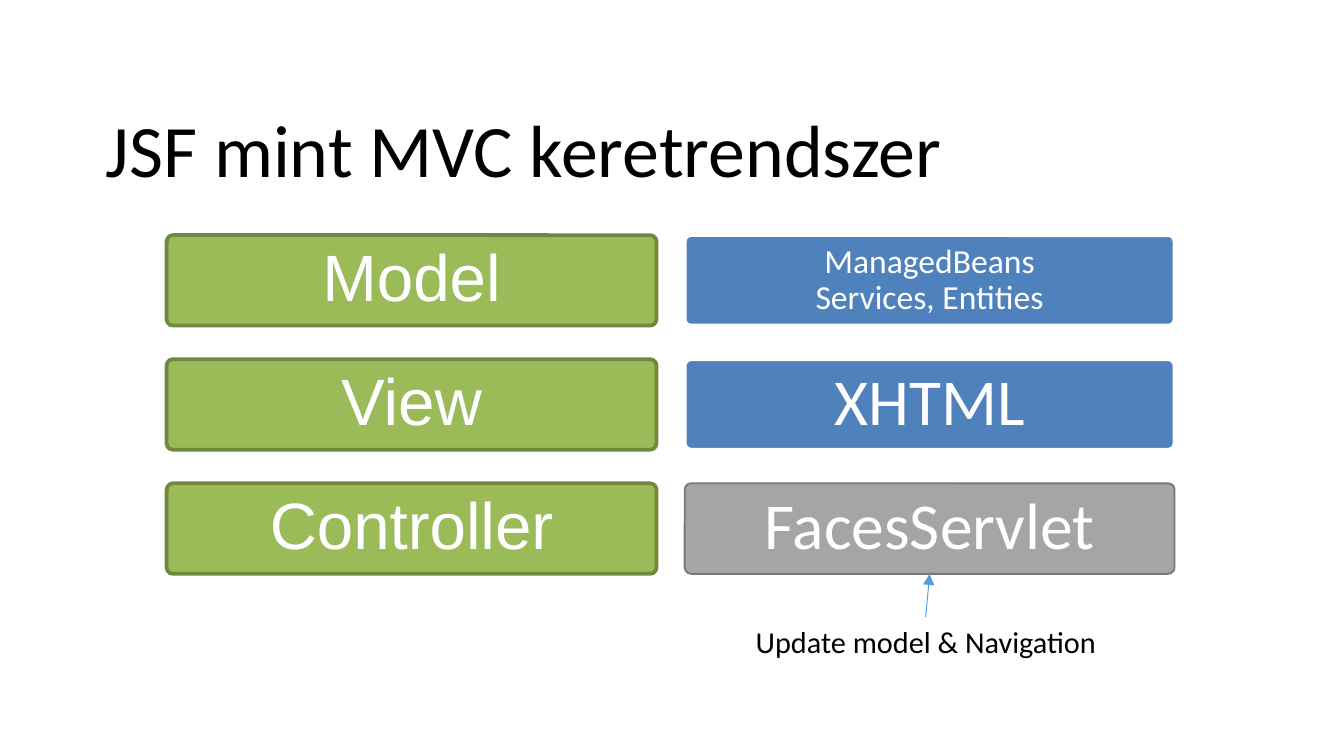
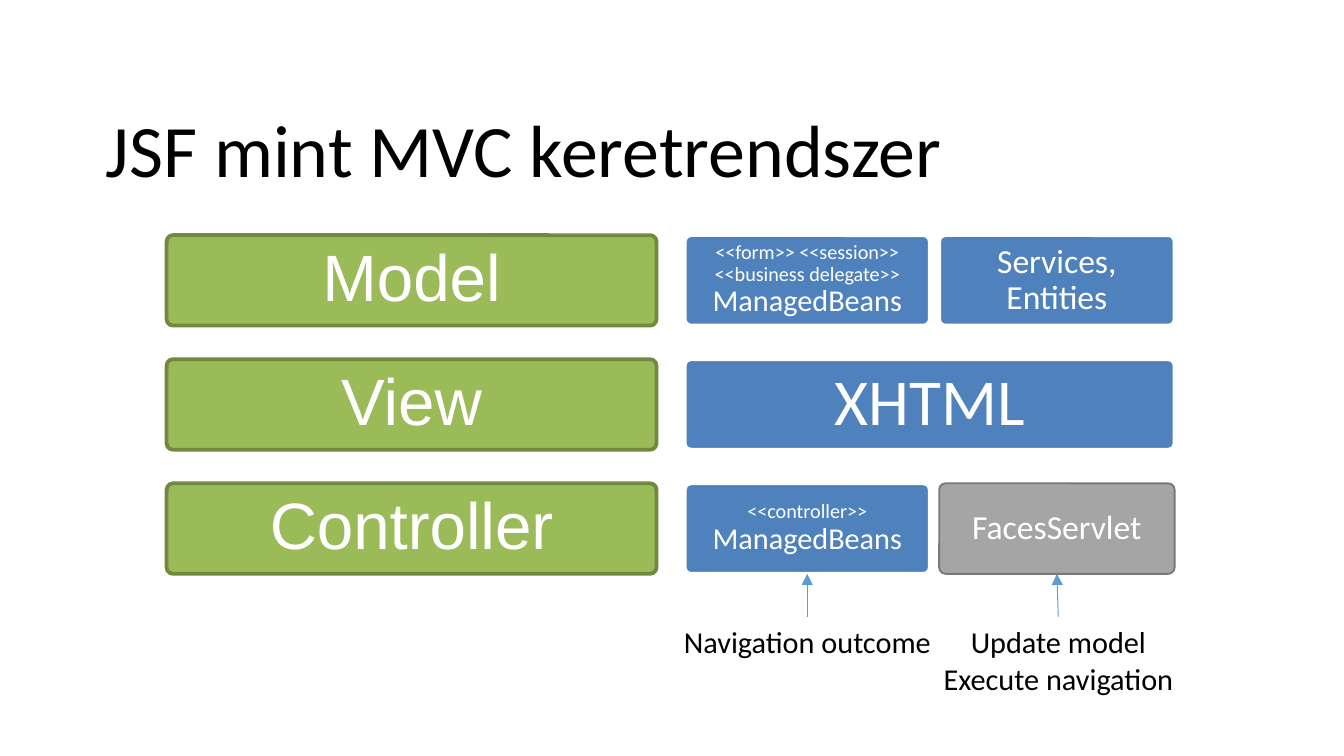
from copy import deepcopy
from dataclasses import dataclass

from lxml.etree import SubElement
from pptx import Presentation
from pptx.dml.color import RGBColor
from pptx.enum.shapes import MSO_CONNECTOR as Connector, MSO_SHAPE as Shape
from pptx.enum.text import MSO_ANCHOR as Anchor, MSO_AUTO_SIZE as AutoSize, PP_ALIGN as Align
from pptx.oxml.ns import qn
from pptx.util import Inches, Pt


@dataclass(frozen=True)
class Theme:
    """Colours, fonts and type sizes shared by the slides."""
    ink: str = "000000"
    paper: str = "FFFFFF"
    arrow: str = "5B9BD5"
    body_font: str = "Calibri"
    layer_font: str = "Arial"
    title: float = 39.6
    large: float = 35.1
    medium: float = 18
    small: float = 16.2
    stereotype: float = 10.8


@dataclass(frozen=True)
class BlockStyle:
    """Fill, outline and text format of one kind of block."""
    fill: str
    outline: str
    outline_width: float
    font: str
    space_after: float


@dataclass(frozen=True)
class Box:
    """A rectangle in inches that can be cut into a grid."""
    left: float
    top: float
    width: float
    height: float

    @property
    def center(self):
        """Return the horizontal centre."""
        return self.left + self.width / 2

    @property
    def bottom(self):
        """Return the lower edge."""
        return self.top + self.height

    def emu(self):
        """Return the four lengths for python-pptx."""
        return [Inches(length) for length in (self.left, self.top, self.width, self.height)]

    def columns(self, shares, gap):
        """Cut the box into columns with the given shares of the free width."""
        free = self.width - gap * (len(shares) - 1)
        left, cut = self.left, []
        for share in shares:
            cut.append(Box(left, self.top, free * share, self.height))
            left += free * share + gap
        return cut

    def rows(self, count, gap):
        """Cut the box into equal rows."""
        height = (self.height - gap * (count - 1)) / count
        return [Box(self.left, self.top + row * (height + gap), self.width, height)
                for row in range(count)]


THEME = Theme()
LAYER = BlockStyle("9BBB59", "71893F", 2, THEME.layer_font, 14.4)
PART = BlockStyle("4F81BD", THEME.paper, 2, THEME.body_font, 16.2)
SERVLET = BlockStyle("A5A5A5", "787878", 1, THEME.body_font, 16.2)
SLIDE_WIDTH = Inches(10)
SLIDE_HEIGHT = SLIDE_WIDTH * 9 // 16
TITLE_BOX = Box(0.69, 0.3, 8.62, 1.09)
BOARD = Box(1.24, 1.75, 7.5, 2.52)
COLUMN_GAP, ROW_GAP, PART_GAP = 0.21, 0.25, 0.07
HALVES = (0.51, 0.49)
LAYERS = ("Model", "View", "Controller")
HEADING = "JSF mint MVC keretrendszer"


def write_text(shape, lines, *, size=THEME.small, font=THEME.body_font, color=THEME.ink,
               align=Align.CENTER, anchor=Anchor.TOP, spacing=1.0, space_after=0, wrap=True,
               margins=(0.1, 0.05, 0.1, 0.05)):
    """Write lines, each a text or a (text, size) pair, as one paragraph."""
    frame = shape.text_frame
    frame.word_wrap, frame.vertical_anchor = wrap, anchor
    frame.margin_left, frame.margin_top, frame.margin_right, frame.margin_bottom = (
        Inches(margin) for margin in margins)
    paragraph = frame.paragraphs[0]
    paragraph.alignment, paragraph.line_spacing = align, spacing
    paragraph.space_after = Pt(space_after)
    for index, line in enumerate(lines):
        text, line_size = line if isinstance(line, tuple) else (line, size)
        if index:
            paragraph.add_line_break()
            paragraph._p[-1].append(deepcopy(run._r.rPr))
        run = paragraph.add_run()
        run.text = text
        run.font.name, run.font.size = font, Pt(line_size)
        run.font.color.rgb = RGBColor.from_string(color)


def add_title(slide, box):
    """Write the heading on the lower line of its box."""
    write_text(slide.shapes.add_textbox(*box.emu()), [HEADING], size=THEME.title,
               align=Align.LEFT, anchor=Anchor.MIDDLE, spacing=0.9,
               margins=(0.1, 0.6, 0.1, 0))


def add_block(slide, box, style, lines, size=THEME.large):
    """Draw one rounded block with centred white text."""
    shape = slide.shapes.add_shape(Shape.ROUNDED_RECTANGLE, *box.emu())
    shape.adjustments[0] = 0.07
    shape.shadow.inherit = False
    shape.fill.solid()
    shape.fill.fore_color.rgb = RGBColor.from_string(style.fill)
    shape.line.color.rgb = RGBColor.from_string(style.outline)
    shape.line.width = Pt(style.outline_width)
    write_text(shape, lines, size=size, font=style.font, color=THEME.paper,
               anchor=Anchor.MIDDLE, spacing=0.9, space_after=style.space_after,
               margins=(0.16,) * 4)


def add_note(slide, target, lines, width, shift=0.0):
    """Write a note below the target box and point an arrow at it."""
    box = Box(target.center - width / 2 + shift, target.bottom + 0.32,
              width, 0.1 + 0.27 * len(lines))
    label = slide.shapes.add_textbox(*box.emu())
    write_text(label, lines, wrap=False)
    label.text_frame.auto_size = AutoSize.SHAPE_TO_FIT_TEXT
    arrow = slide.shapes.add_connector(
        Connector.STRAIGHT, Inches(box.center), Inches(box.top),
        Inches(target.center), Inches(target.bottom))
    arrow.line.color.rgb = RGBColor.from_string(THEME.arrow)
    arrow.line.width = Pt(0.5)
    SubElement(arrow.line._get_or_add_ln(), qn("a:tailEnd"), type="triangle")
    SubElement(arrow._element.spPr, qn("a:effectLst"))


def add_board(slide, box):
    """Draw the layer column and return the rows left for the JSF parts."""
    layer_column, part_column = box.columns((0.5, 0.5), COLUMN_GAP)
    for row, layer in zip(layer_column.rows(len(LAYERS), ROW_GAP), LAYERS):
        add_block(slide, row, LAYER, [layer])
    return part_column.rows(len(LAYERS), ROW_GAP)


def add_overview(slide, box):
    """Draw one JSF part for each layer."""
    model, view, controller = add_board(slide, box)
    add_block(slide, model, PART, ["ManagedBeans", "Services, Entities"], THEME.medium)
    add_block(slide, view, PART, ["XHTML"])
    add_block(slide, controller, SERVLET, ["FacesServlet"])
    add_note(slide, controller, ["Update model & Navigation"], 2.75, shift=-0.03)


def add_details(slide, box):
    """Draw the JSF parts with the model and the controller split in two."""
    model, view, controller = add_board(slide, box)
    beans, services = model.columns(HALVES, PART_GAP)
    navigator, servlet = controller.columns(HALVES, PART_GAP)
    add_block(slide, beans, PART, [("<<form>> <<session>>", THEME.stereotype),
                                   ("<<business delegate>>", THEME.stereotype),
                                   "ManagedBeans"], THEME.small)
    add_block(slide, services, PART, ["Services, Entities"], THEME.medium)
    add_block(slide, view, PART, ["XHTML"])
    add_block(slide, navigator, PART, [("<<controller>>", THEME.stereotype), "ManagedBeans"],
              THEME.small)
    add_block(slide, servlet, SERVLET, ["FacesServlet"], THEME.medium)
    add_note(slide, servlet, ["Update model", "Execute navigation"], 1.92, shift=0.01)
    add_note(slide, navigator, ["Navigation outcome"], 2.06)


def main():
    """Build and save the presentation."""
    presentation = Presentation()
    presentation.slide_width = SLIDE_WIDTH
    presentation.slide_height = SLIDE_HEIGHT
    for add_content in (add_overview, add_details):
        slide = presentation.slides.add_slide(presentation.slide_layouts[6])
        add_title(slide, TITLE_BOX)
        add_content(slide, BOARD)
    presentation.save("out.pptx")


if __name__ == "__main__":
    main()
